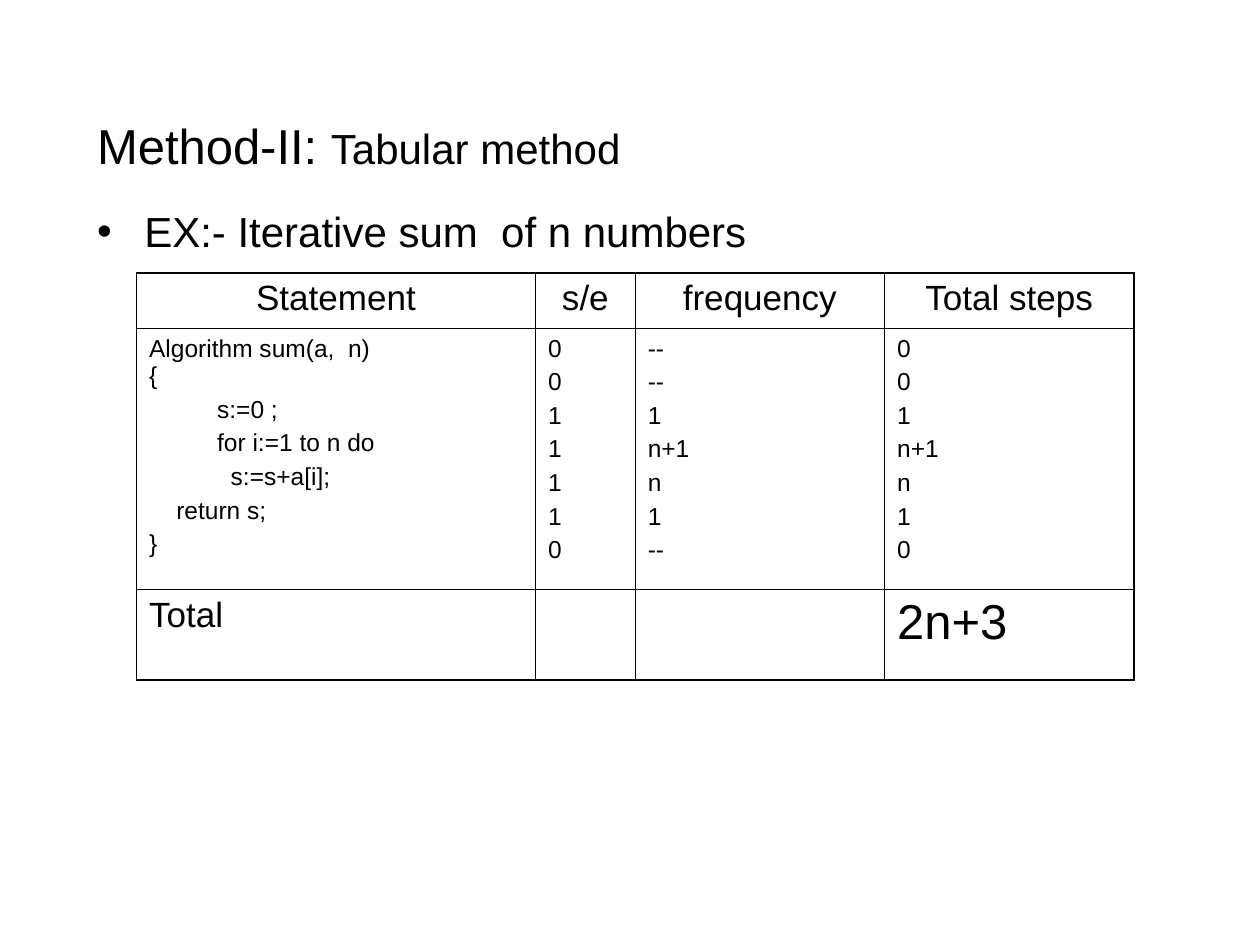
"""Build the slide on the tabular method for counting algorithm steps."""
import pptx
import pptx.dml.color
import pptx.enum.text
import pptx.oxml
import pptx.oxml.ns
import pptx.util

Pt = pptx.util.Pt
ALIGN = pptx.enum.text.PP_ALIGN
COLORS = {"text": "000000", "border": "000000"}
FONT = "Arial"
OUTER, INNER = 1.08, 0.45


def write(paragraph, text, *, size, align=ALIGN.LEFT, before=0):
    paragraph.alignment = align
    paragraph.space_before = Pt(before)
    for index, line in enumerate(text.split("\n")):
        if index:
            paragraph.add_line_break()
        run = paragraph.add_run()
        run.text = line
        run.font.name = FONT
        run.font.size = Pt(size)
        run.font.color.rgb = pptx.dml.color.RGBColor.from_string(COLORS["text"])


presentation = pptx.Presentation()
presentation.slide_width, presentation.slide_height = Pt(720), Pt(540)
slide = presentation.slides.add_slide(presentation.slide_layouts[1])

heading = slide.shapes.title
heading.left, heading.top, heading.width, heading.height = Pt(36), Pt(41.76), Pt(648), Pt(69.84)
heading.text_frame.vertical_anchor = pptx.enum.text.MSO_ANCHOR.MIDDLE
for part, size in [(" ", 44), ("Method-II: ", 28), ("Tabular method", 24)]:
    write(heading.text_frame.paragraphs[0], part, size=size)

example = slide.placeholders[1]
example.left, example.top, example.width, example.height = Pt(48.24), Pt(111.6), Pt(480), Pt(68.4)
example.text_frame.margin_top = Pt(6)
write(example.text_frame.paragraphs[0], "EX:- Iterative sum  of n numbers", size=24)

column_widths = [228, 57, 142.5, 142.5]
row_heights = [31.7, 149, 51.9]
headers = ["Statement", "s/e", "frequency", "Total steps"]
algorithm = [
    "Algorithm sum(a,  n)\n{",
    "          s:=0 ;",
    "          for i:=1 to n do",
    "            s:=s+a[i];",
    "    return s;",
    "}",
]
steps_per_execution = ["0", "0", "1", "1", "1", "1", "0"]
frequencies = ["--", "--", "1", "n+1", "n", "1", "--"]
total_steps = ["0", "0", "1", "n+1", "n", "1", "0"]
rows = [
    [([header], 20, ALIGN.CENTER) for header in headers],
    [(lines, 14, ALIGN.LEFT) for lines in (algorithm, steps_per_execution, frequencies, total_steps)],
    [(["Total"], 20, ALIGN.LEFT), ([], 20, ALIGN.LEFT), ([], 20, ALIGN.LEFT), (["2n+3"], 28, ALIGN.LEFT)],
]

step_table = slide.shapes.add_table(
    len(rows), len(headers), Pt(78), Pt(156), Pt(sum(column_widths)), Pt(sum(row_heights))
).table
step_table.first_row = step_table.horz_banding = False
for column, width in zip(step_table.columns, column_widths):
    column.width = Pt(width)
for row, height in zip(step_table.rows, row_heights):
    row.height = Pt(height)

for r, row in enumerate(rows):
    for c, (lines, size, align) in enumerate(row):
        cell = step_table.cell(r, c)
        for index, line in enumerate(lines):
            paragraph = cell.text_frame.add_paragraph() if index else cell.text_frame.paragraphs[0]
            write(paragraph, line, size=size, align=align, before=3.5 if index else 0)
        outer_sides = {"L": c == 0, "R": c == len(headers) - 1, "T": r == 0, "B": r == len(rows) - 1}
        properties = cell._tc.get_or_add_tcPr()
        for side, is_outer in outer_sides.items():
            line_width = Pt(OUTER if is_outer else INNER)
            properties.append(pptx.oxml.parse_xml(
                f'<a:ln{side} {pptx.oxml.ns.nsdecls("a")} w="{line_width}"><a:solidFill>'
                f'<a:srgbClr val="{COLORS["border"]}"/></a:solidFill></a:ln{side}>'
            ))
        cell.fill.background()

presentation.save("out.pptx")
